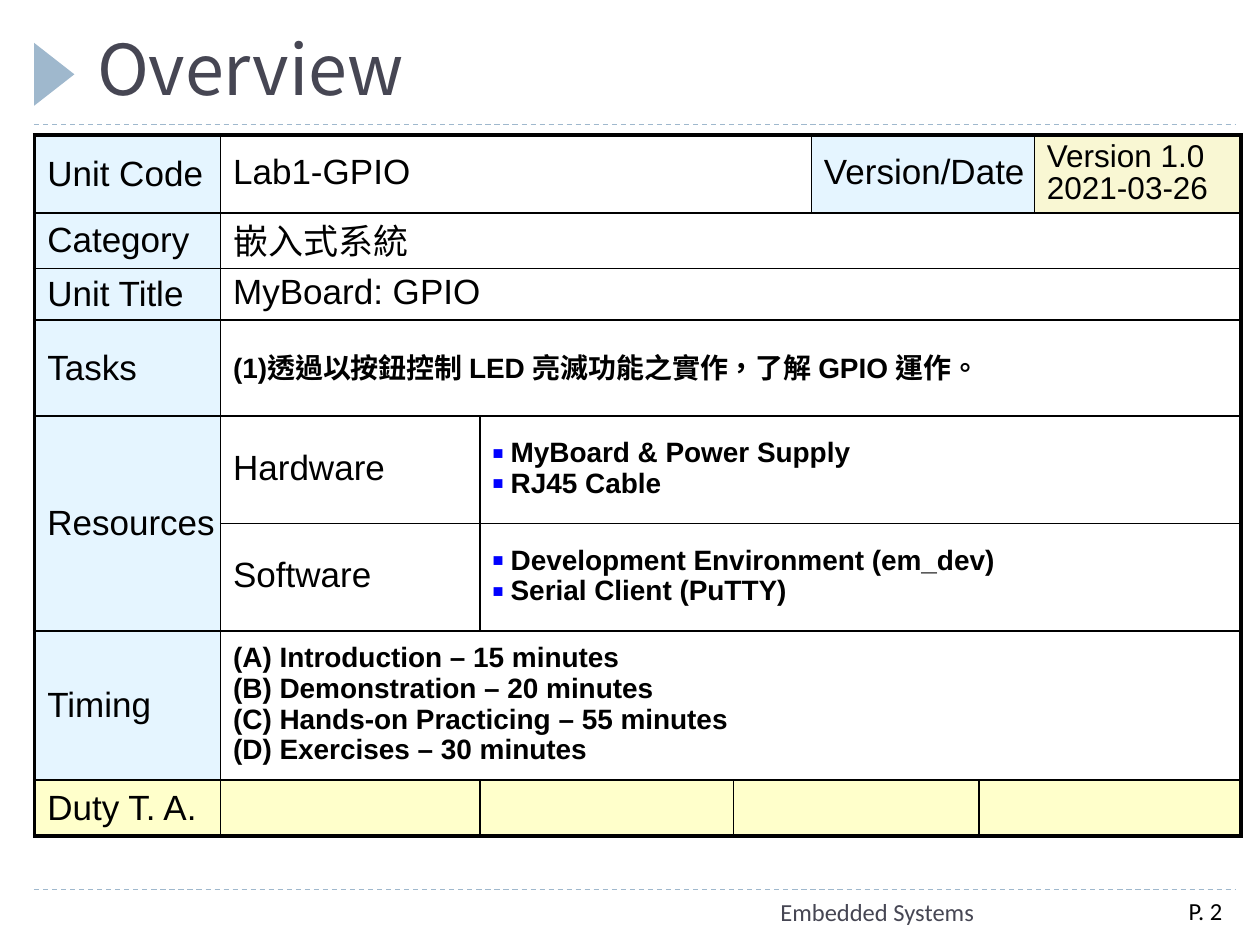
from pptx import Presentation
from pptx.dml.color import RGBColor
from pptx.enum.dml import MSO_LINE
from pptx.enum.shapes import MSO_CONNECTOR, MSO_SHAPE
from pptx.enum.text import MSO_ANCHOR, PP_ALIGN
from pptx.oxml.ns import qn
from pptx.util import Pt
from lxml.etree import SubElement

THEME = {
    "accent": "9FB8CD", "heading": "464653", "text": "000000", "bullet": "0000FF",
    "label": "CCECFF", "version": "F5F1A9", "duty": "FFFF99",
    "title_font": "Noto Sans CJK SC", "table_font": "Arial", "footer_font": "Calibri",
    "title_size": 40, "large": 20, "medium": 18, "small": 16, "footer_size": 14,
    "outer_line": 2.25, "inner_line": 1,
}

STYLES = {
    "label": {"size": "large", "right": 0},
    "value": {"size": "large", "spacing": 0.9},
    "field": {"size": "large", "spacing": 0.9, "after": 2},
    "version": {"size": "medium", "spacing": 0.9},
    "detail": {"size": "small", "spacing": 0.9, "after": 1.6, "bold": True},
    "task": {"size": "small", "spacing": 0.9, "after": 1.6, "bold": True,
             "hanging": 41.76, "language": "zh-TW"},
    "bullets": {"size": "small", "spacing": 0.9, "after": 1.6, "bold": True,
                "hanging": 10.3, "bullet": "■"},
}

TABLE_LEFT, TABLE_TOP = 19.8, 77.04
COLUMN_WIDTHS = [106.2, 148.32, 144.72, 44.64, 95.76, 31.68, 118.08]
ROW_HEIGHTS = [44.64, 31.7, 29.3, 54.9, 61.4, 61.4, 85.2, 32]

# row, column, row span, column span, style, fill, lines
BLOCKS = [
    (0, 0, 1, 1, "label", "label", ["Unit Code"]),
    (0, 1, 1, 3, "value", None, ["Lab1-GPIO"]),
    (0, 4, 1, 2, "field", "label", ["Version/Date"]),
    (0, 6, 1, 1, "version", "version", ["Version 1.0", "2021-03-26"]),
    (1, 0, 1, 1, "label", "label", ["Category"]),
    (1, 1, 1, 6, "value", None, ["嵌入式系統"]),
    (2, 0, 1, 1, "label", "label", ["Unit Title"]),
    (2, 1, 1, 6, "value", None, ["MyBoard: GPIO"]),
    (3, 0, 1, 1, "label", "label", ["Tasks"]),
    (3, 1, 1, 6, "task", None, ["(1)透過以按鈕控制 LED 亮滅功能之實作，了解 GPIO 運作。"]),
    (4, 0, 2, 1, "label", "label", ["Resources"]),
    (4, 1, 1, 1, "field", None, ["Hardware"]),
    (4, 2, 1, 5, "bullets", None, ["MyBoard & Power Supply", "RJ45 Cable"]),
    (5, 1, 1, 1, "field", None, ["Software"]),
    (5, 2, 1, 5, "bullets", None,
     ["Development Environment (em_dev)", "Serial Client (PuTTY)"]),
    (6, 0, 1, 1, "label", "label", ["Timing"]),
    (6, 1, 1, 6, "detail", None,
     ["(A) Introduction – 15 minutes", "(B) Demonstration – 20 minutes",
      "(C) Hands-on Practicing – 55 minutes", "(D) Exercises – 30 minutes"]),
    (7, 0, 1, 1, "label", "duty", ["Duty T. A."]),
    (7, 1, 1, 1, "label", "duty", []),
    (7, 2, 1, 1, "label", "duty", []),
    (7, 3, 1, 2, "label", "duty", []),
    (7, 5, 1, 2, "label", "duty", []),
]

FOOTERS = [
    ("Embedded Systems", (154.8, 509.04, 408.96, 28.8), "heading"),
    ("P. 2", (660.24, 508.32, 45.36, 41.04), "text"),
]
RULE_LEFT, RULE_RIGHT = 19.44, 705.6
RULE_HEIGHTS = [71.28, 508.32]


def color(name):
    return RGBColor.from_string(THEME[name])


def format_spans(para, font, size, color_name, bold=False):
    for span in para.runs:
        span.font.name = THEME[font]
        span.font.size = Pt(THEME[size])
        span.font.color.rgb = color(color_name)
        span.font.bold = bold


def add_bullet(properties, character):
    bullet_color = SubElement(properties, qn("a:buClr"))
    SubElement(bullet_color, qn("a:srgbClr"), val=THEME["bullet"])
    SubElement(properties, qn("a:buSzPct"), val="65000")
    SubElement(properties, qn("a:buFont"), typeface=THEME["table_font"])
    SubElement(properties, qn("a:buChar"), char=character)


def format_paragraph(para, style):
    if "spacing" in style:
        para.line_spacing = style["spacing"]
    if "after" in style:
        para.space_after = Pt(style["after"])
    properties = para._p.get_or_add_pPr()
    if "hanging" in style:
        properties.set("marL", str(Pt(style["hanging"])))
        properties.set("indent", str(-Pt(style["hanging"])))
    if "bullet" in style:
        add_bullet(properties, style["bullet"])
    format_spans(para, "table_font", style["size"], "text", style.get("bold", False))
    if "language" in style:
        for span in para.runs:
            span._r.get_or_add_rPr().set("lang", style["language"])


def add_border(cell, side, width):
    line = SubElement(cell._tc.get_or_add_tcPr(), qn("a:ln" + side), w=str(Pt(width)))
    fill = SubElement(line, qn("a:solidFill"))
    SubElement(fill, qn("a:srgbClr"), val=THEME["text"])


def fill_cell(cell, name):
    if name is None:
        cell.fill.background()
        return
    cell.fill.solid()
    cell.fill.fore_color.rgb = color(name)
    tint = cell._tc.tcPr.find(qn("a:solidFill")).find(qn("a:srgbClr"))
    SubElement(tint, qn("a:alpha"), val="50000")


def add_block(table, row, column, row_span, column_span, style_name, fill, lines):
    style = STYLES[style_name]
    last_row, last_column = row + row_span - 1, column + column_span - 1
    origin = table.cell(row, column)
    if row_span * column_span > 1:
        origin.merge(table.cell(last_row, last_column))
    for r in range(row, last_row + 1):
        for c in range(column, last_column + 1):
            cell = table.cell(r, c)
            is_origin = (r, c) == (row, column)
            edges = [("L", c, column, 0), ("R", c, last_column, len(COLUMN_WIDTHS) - 1),
                     ("T", r, row, 0), ("B", r, last_row, len(ROW_HEIGHTS) - 1)]
            for side, position, block_edge, table_edge in edges:
                if is_origin or position == block_edge:
                    outer = block_edge == table_edge
                    add_border(cell, side, THEME["outer_line" if outer else "inner_line"])
            fill_cell(cell, fill)
    origin.vertical_anchor = MSO_ANCHOR.MIDDLE
    origin.margin_left = Pt(7.2)
    origin.margin_right = Pt(style.get("right", 2.88))
    origin.margin_top = origin.margin_bottom = Pt(2.88)
    origin.text_frame.text = "\n".join(lines)
    for para in origin.text_frame.paragraphs:
        format_paragraph(para, style)


def add_decoration(page):
    for height in RULE_HEIGHTS:
        rule = page.shapes.add_connector(MSO_CONNECTOR.STRAIGHT, Pt(RULE_LEFT), Pt(height),
                                         Pt(RULE_RIGHT), Pt(height))
        rule.line.color.rgb = color("accent")
        rule.line.width = Pt(0.75)
        rule.line.dash_style = MSO_LINE.DASH
        SubElement(rule._element.spPr, qn("a:effectLst"))
    marker = page.shapes.add_shape(MSO_SHAPE.ISOSCELES_TRIANGLE,
                                   Pt(12.96), Pt(30.96), Pt(36), Pt(23.04))
    marker.rotation = 90
    marker.shadow.inherit = False
    marker.fill.solid()
    marker.fill.fore_color.rgb = color("accent")
    marker.line.fill.background()


def add_title(page):
    title = page.shapes.title
    title.left, title.top, title.width, title.height = Pt(48.24), Pt(12.24), Pt(658.08), Pt(54)
    title.text_frame.text = "Overview"
    title.text_frame.vertical_anchor = MSO_ANCHOR.BOTTOM
    para = title.text_frame.paragraphs[0]
    para.alignment = PP_ALIGN.LEFT
    format_spans(para, "title_font", "title_size", "heading")


def add_overview(page):
    table = page.shapes.add_table(len(ROW_HEIGHTS), len(COLUMN_WIDTHS), Pt(TABLE_LEFT),
                                  Pt(TABLE_TOP), Pt(sum(COLUMN_WIDTHS)),
                                  Pt(sum(ROW_HEIGHTS))).table
    table.first_row = table.horz_banding = False
    for column, width in zip(table.columns, COLUMN_WIDTHS):
        column.width = Pt(width)
    for row, height in zip(table.rows, ROW_HEIGHTS):
        row.height = Pt(height)
    for block in BLOCKS:
        add_block(table, *block)


def add_footers(page):
    for text, place, color_name in FOOTERS:
        box = page.shapes.add_textbox(*map(Pt, place))
        box.text_frame.word_wrap = True
        box.text_frame.text = text
        para = box.text_frame.paragraphs[0]
        para.alignment = PP_ALIGN.RIGHT
        format_spans(para, "footer_font", "footer_size", color_name)


def main():
    deck = Presentation()
    deck.slide_width, deck.slide_height = Pt(720), Pt(540)
    page = deck.slides.add_slide(deck.slide_layouts[5])
    add_decoration(page)
    add_title(page)
    add_overview(page)
    add_footers(page)
    deck.save("out.pptx")


if __name__ == "__main__":
    main()
